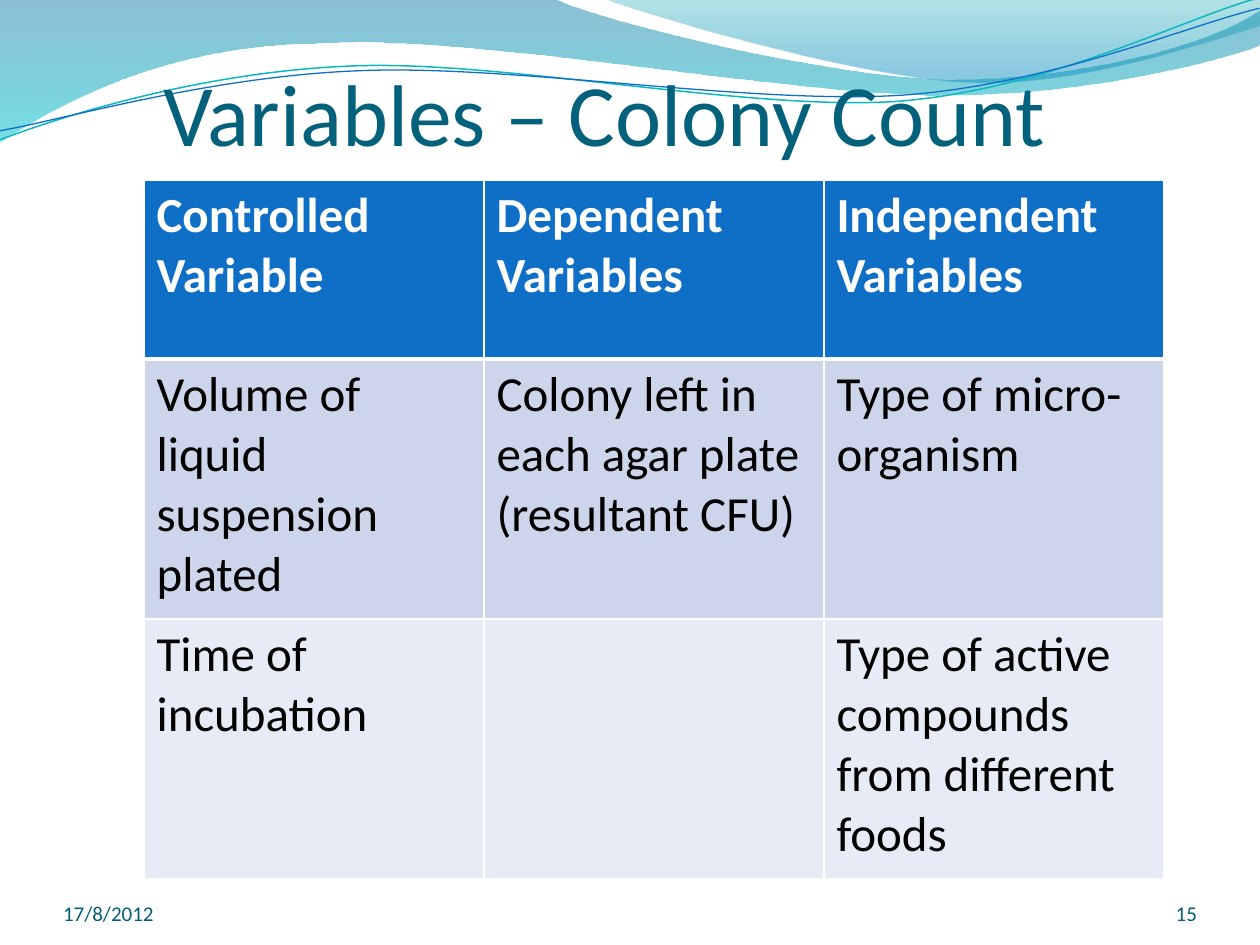
from lxml.etree import SubElement
from pptx import Presentation
from pptx.dml.color import RGBColor
from pptx.enum.text import MSO_ANCHOR, MSO_AUTO_SIZE, PP_ALIGN
from pptx.oxml.ns import qn
from pptx.util import Emu, Pt

PX = 914400 / 126
FONT = "Calibri"
TITLE_TEAL = RGBColor(0x04, 0x61, 0x7B)
FOOTER_TEAL = RGBColor(0x04, 0x5D, 0x75)
WHITE = RGBColor(0xFF, 0xFF, 0xFF)
BLACK = RGBColor(0, 0, 0)
BLUE = RGBColor(0x0F, 0x6F, 0xC6)
AQUA = RGBColor(0x0A, 0xB8, 0xBF)
ROW_FILLS = [BLUE, RGBColor(0xCC, 0xD5, 0xEA), RGBColor(0xE7, 0xEB, 0xF5)]

# Content
TITLE = "Variables – Colony Count"
VARIABLES = [
    ["Controlled Variable", "Dependent Variables", "Independent Variables"],
    ["Volume of liquid suspension plated",
     "Colony left in each agar plate (resultant CFU)", "Type of micro-organism"],
    ["Time of incubation", "", "Type of active compounds from different foods"],
]
ROW_HEIGHTS = [179, 260, 260]
COLUMN_WIDTH = 340
FOOTERS = [
    ("17/8/2012", (63, 876, 294, 50), PP_ALIGN.LEFT),
    ("15", (1092, 876, 105, 50), PP_ALIGN.RIGHT),
]

# Waves: each segment is one point (line) or three points (Bézier curve), in px
BANDS = [
    ([[(0, -1)], [(554, -1)],
      [(600, 21), (837, 79), (955, 79)], [(1075, 79), (1207, 47), (1260, 11)],
      [(1261, 45)],
      [(1239, 55), (1096, 96), (940, 95)], [(784, 95), (481, 35), (324, 43)],
      [(163, 44), (58, 105), (-1, 142)]],
     [(0, RGBColor(0x00, 0x74, 0xA1), 45), (1, RGBColor(0x00, 0xC6, 0xCF), 55)]),
    ([[(604, -1)],
      [(641, 14), (859, 78), (969, 82)], [(1079, 87), (1211, 40), (1260, 26)],
      [(1260, 0)]],
     [(0, RGBColor(0x00, 0xA1, 0xA9), 30), (0.8, RGBColor(0x00, 0x8B, 0xBF), 45)]),
]
STRAND_TILT = 357.3
STRANDS = [
    ([[(-2, 110)], [(59, 90), (200, 52), (350, 53)],
      [(499, 53), (745, 117), (896, 114)], [(1049, 109), (1184, 45), (1260, 28)]],
     AQUA, 0.85),
    ([[(-2, 101)], [(57, 94), (207, 57), (357, 58)],
      [(509, 58), (750, 111), (902, 108)], [(1052, 104), (1188, 52), (1262, 38)]],
     BLUE, 0.75),
]


def px(*lengths):
    return [Emu(round(length * PX)) for length in lengths]


def add_wave(segments, closed):
    """Outline all points, then join each group of three into a cubic curve."""
    start, *rest = [px(*point) for segment in segments for point in segment]
    builder = slide.shapes.build_freeform(*start, scale=1.0)
    builder.add_line_segments(rest, close=closed)
    wave = builder.convert_to_shape()
    wave.shadow.inherit = False
    lines = iter(list(wave._element.iter(qn("a:lnTo"))))
    for segment in segments[1:]:
        first, *others = [next(lines) for _ in segment]
        if others:
            first.addprevious(curve := first.makeelement(qn("a:cubicBezTo")))
            for line in (first, *others):
                curve.append(line[0])
                line.getparent().remove(line)
    return wave


def style(paragraph, align=PP_ALIGN.LEFT, **formats):
    paragraph.alignment = align
    for run in paragraph.runs:
        run.font.name = FONT
        for key, value in formats.items():
            if key == "color":
                run.font.color.rgb = value
            else:
                setattr(run.font, key, value)


def set_frame(frame, **margins):
    settings = dict(word_wrap=True, auto_size=MSO_AUTO_SIZE.NONE,
                    vertical_anchor=MSO_ANCHOR.BOTTOM, margin_left=0,
                    margin_right=0, margin_top=0, margin_bottom=0) | margins
    for key, value in settings.items():
        setattr(frame, key, value)


def set_borders(cell, widths):
    properties = cell._tc.get_or_add_tcPr()
    for index, (side, width) in enumerate(widths.items()):
        border = SubElement(properties, qn(f"a:ln{side}"), w=str(Pt(width)))
        solid = SubElement(border, qn("a:solidFill"))
        SubElement(solid, qn("a:srgbClr"), val=str(WHITE))
        properties.insert(index, border)


prs = Presentation()
prs.slide_width, prs.slide_height = px(1260, 945)
slide = prs.slides.add_slide(prs.slide_layouts[5])
title = slide.shapes.title

# Wave decoration
for segments, stops in BANDS:
    band = add_wave(segments, True)
    band.line.fill.background()
    band.fill.gradient()
    band.fill.gradient_angle = 270
    for stop, (position, color, _) in zip(band.fill.gradient_stops, stops):
        stop.position = position
        stop.color.rgb = color
    for node, (_, _, opacity) in zip(band._element.spPr.iter(qn("a:srgbClr")), stops):
        SubElement(node, qn("a:alpha"), val=str(opacity * 1000))
for segments, color, width in STRANDS:
    strand = add_wave(segments, False)
    strand.rotation = STRAND_TILT
    strand.fill.background()
    strand.line.color.rgb = color
    strand.line.width = Pt(width)

# Title, in front of the waves
slide.shapes._spTree.append(title._element)
title.left, title.top, title.width, title.height = px(163, 6, 1033, 158)
title.text = TITLE
set_frame(title.text_frame, margin_top=px(6)[0])
style(title.text_frame.paragraphs[0], size=Pt(50), color=TITLE_TEAL)

# Date and slide number
for text, box, align in FOOTERS:
    footer = slide.shapes.add_textbox(*px(*box)).text_frame
    footer.text = text
    set_frame(footer)
    style(footer.paragraphs[0], align, size=Pt(12), color=FOOTER_TEAL)

# Table of variables
table = slide.shapes.add_table(
    len(VARIABLES), len(VARIABLES[0]),
    *px(144, 180, COLUMN_WIDTH * len(VARIABLES[0]), sum(ROW_HEIGHTS))).table
table.first_row = table.horz_banding = False
for column in table.columns:
    column.width = px(COLUMN_WIDTH)[0]
for r, (texts, height, fill) in enumerate(zip(VARIABLES, ROW_HEIGHTS, ROW_FILLS)):
    header = r == 0
    table.rows[r].height = px(height)[0]
    for c, text in enumerate(texts):
        cell = table.cell(r, c)
        cell.fill.solid()
        cell.fill.fore_color.rgb = fill
        set_borders(cell, {"L": 1, "R": 1, "T": 3 if r == 1 else 1, "B": 3 if header else 1})
        if text:
            cell.text = text
            style(cell.text_frame.paragraphs[0], size=Pt(28), bold=header,
                  color=WHITE if header else BLACK)

prs.save("out.pptx")
